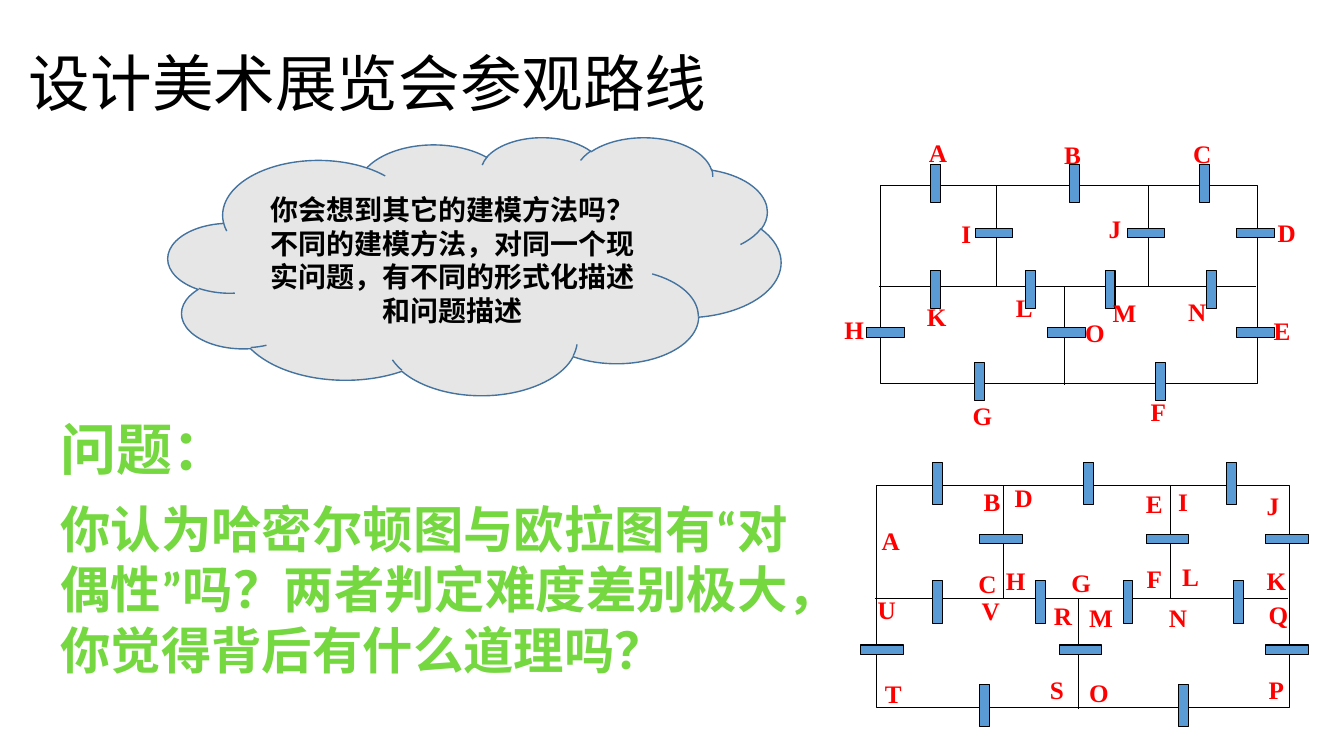
from dataclasses import dataclass

from lxml import etree
from pptx import Presentation
from pptx.dml.color import RGBColor
from pptx.enum.shapes import MSO_CONNECTOR, MSO_SHAPE
from pptx.enum.text import MSO_ANCHOR, PP_ALIGN
from pptx.oxml.ns import qn
from pptx.util import Cm, Pt

RECT = MSO_SHAPE.RECTANGLE
CLOUD = MSO_SHAPE.CLOUD
STRAIGHT = MSO_CONNECTOR.STRAIGHT
MIDDLE = MSO_ANCHOR.MIDDLE
LEFT, CENTER = PP_ALIGN.LEFT, PP_ALIGN.CENTER

COLORS = {
    "ink": "000000",
    "door": "5B9BD5",
    "letter": "FF0000",
    "ask": "75D840",
    "cloud": "E7E6E6",
    "edge": "43739E",
}

# Shared floor plan, in percent of a plan's width and height
WALLS = [
    (-0.5, 51, 99.5, 51),
    (30.6, 0, 30.6, 51),
    (71, 0, 71, 51),
    (48.8, 51, 48.8, 100.7),
]
DOORS = [
    *((x, -1) for x in (14.6, 51.3, 85.9)),
    *((x, 52.4) for x in (14.6, 39.7, 60.8, 87.6)),
    *((x, 99) for x in (26.1, 74.2)),
]
SIDE_DOORS = [
    *((x, 24) for x in (30, 70.3, 99.3)),
    *((x, 74) for x in (1.2, 49.3, 99.3)),
]


@dataclass
class Plan:
    left: float
    top: float
    width: float
    height: float
    door: float
    box: tuple[float, float]
    letters: dict[str, tuple[float, float]]

    def spot(self, x: float, y: float) -> tuple[float, float]:
        """Turn percent of the plan into centimetres on the slide."""
        return self.left + self.width * x / 100, self.top + self.height * y / 100


@dataclass
class Style:
    size: float
    color: str
    font: str = "Calibri"
    bold: bool = True
    align: PP_ALIGN = LEFT
    before: float = 0


UPPER = Plan(22.2, 4.67, 9.5, 5, 0.95, (1.27, 0.91), {
    "A": (23.16, 3.33), "B": (26.57, 3.38), "C": (29.82, 3.35),
    "D": (31.95, 5.36), "E": (31.85, 7.82), "F": (28.75, 9.86),
    "G": (24.26, 9.96), "H": (21.03, 7.8), "I": (23.98, 5.38),
    "J": (27.69, 5.26), "K": (23.11, 7.47), "L": (25.35, 7.24),
    "M": (27.79, 7.37), "N": (29.69, 7.34), "O": (27.1, 7.87),
})
LOWER = Plan(22.1, 12.24, 10.41, 5.59, 1.07, (1.4, 1.02), {
    "A": (21.97, 13.11), "B": (24.54, 12.12), "C": (24.41, 14.2),
    "D": (25.32, 12.04), "E": (28.63, 12.17), "F": (28.65, 14.07),
    "G": (26.75, 14.17), "H": (25.1, 14.12), "I": (29.44, 12.12),
    "J": (31.67, 12.24), "K": (31.67, 14.12), "L": (29.54, 14.02),
    "M": (27.2, 15.06), "N": (29.21, 15.06), "O": (27.2, 16.94),
    "P": (31.72, 16.87), "Q": (31.72, 14.99), "R": (26.31, 15.01),
    "S": (26.21, 16.87), "T": (22.05, 16.97), "U": (21.87, 14.86),
    "V": (24.49, 14.88),
})


def tint(key: str) -> RGBColor:
    return RGBColor.from_string(COLORS[key])


def write(shape, parts: list[tuple[str, Style]]) -> None:
    """Fill a shape with one styled paragraph per part."""
    frame = shape.text_frame
    frame.word_wrap = True
    frame.text = "\n".join(text for text, _ in parts)
    for para, (_, style) in zip(frame.paragraphs, parts):
        para.alignment = style.align
        if style.before:
            para.space_before = Pt(style.before)
        for run in para.runs:
            font = run.font
            font.name, font.size, font.bold = style.font, Pt(style.size), style.bold
            font.color.rgb = tint(style.color)
            east = etree.SubElement(run._r.get_or_add_rPr(), qn("a:ea"))
            east.set("typeface", style.font)


def add_text(shapes, box: tuple, parts: list[tuple[str, Style]]):
    shape = shapes.add_textbox(*map(Cm, box))
    write(shape, parts)
    return shape


def add_form(shapes, kind: MSO_SHAPE, box: tuple, fill: str | None, line: str, width: float):
    shape = shapes.add_shape(kind, *map(Cm, box))
    shape.shadow.inherit = False
    if fill:
        shape.fill.solid()
        shape.fill.fore_color.rgb = tint(fill)
    else:
        shape.fill.background()
    shape.line.color.rgb = tint(line)
    shape.line.width = Pt(width)
    return shape


def add_wall(shapes, start: tuple, end: tuple) -> None:
    wall = shapes.add_connector(STRAIGHT, *map(Cm, start + end))
    wall.line.color.rgb = tint("ink")
    wall.line.width = Pt(0.75)
    etree.SubElement(wall._element.spPr, qn("a:effectLst"))


def add_door(shapes, plan: Plan, place: tuple, turn: int) -> None:
    x, y = plan.spot(*place)
    box = (x - 0.125, y - plan.door / 2, 0.25, plan.door)
    add_form(shapes, RECT, box, "door", "ink", 0.75).rotation = turn


def add_plan(slide, plan: Plan) -> None:
    shapes = slide.shapes.add_group_shape().shapes
    outer = (plan.left, plan.top, plan.width, plan.height)
    add_form(shapes, RECT, outer, None, "ink", 0.75)
    for x1, y1, x2, y2 in WALLS:
        add_wall(shapes, plan.spot(x1, y1), plan.spot(x2, y2))
    for places, turn in ((DOORS, 0), (SIDE_DOORS, 270)):
        for place in places:
            add_door(shapes, plan, place, turn)
    style = Style(18, "letter", "Times New Roman")
    for letter, place in plan.letters.items():
        add_text(shapes, place + plan.box, [(letter, style)])


def main() -> None:
    deck = Presentation()
    deck.slide_width, deck.slide_height = Cm(33.87), Cm(19.05)
    slide = deck.slides.add_slide(deck.slide_layouts[6])

    title = add_text(slide.shapes, (0.48, 0.33, 29.21, 3.68), [
        ("设计美术展览会参观路线", Style(44, "ink", bold=False)),
    ])
    title.text_frame.vertical_anchor = MIDDLE
    title.text_frame.paragraphs[0].line_spacing = 0.9

    add_plan(slide, LOWER)
    add_text(slide.shapes, (1.27, 10.31, 19.71, 7.01), [
        ("问题：", Style(40, "ask")),
        ("你认为哈密尔顿图与欧拉图有“对偶性”吗？两者判定难度差别极大，你觉得背后有什么道理吗？",
         Style(36, "ask", before=12)),
    ])

    cloud = add_form(slide.shapes, CLOUD, (4.24, 3.45, 15.44, 6.5), "cloud", "edge", 1)
    note = Style(20, "ink", align=CENTER)
    write(cloud, [
        ("你会想到其它的建模方法吗？", note),
        ("不同的建模方法，对同一个现实问题，有不同的形式化描述和问题描述", note),
    ])
    cloud.text_frame.vertical_anchor = MIDDLE
    add_plan(slide, UPPER)
    deck.save("out.pptx")


if __name__ == "__main__":
    main()
